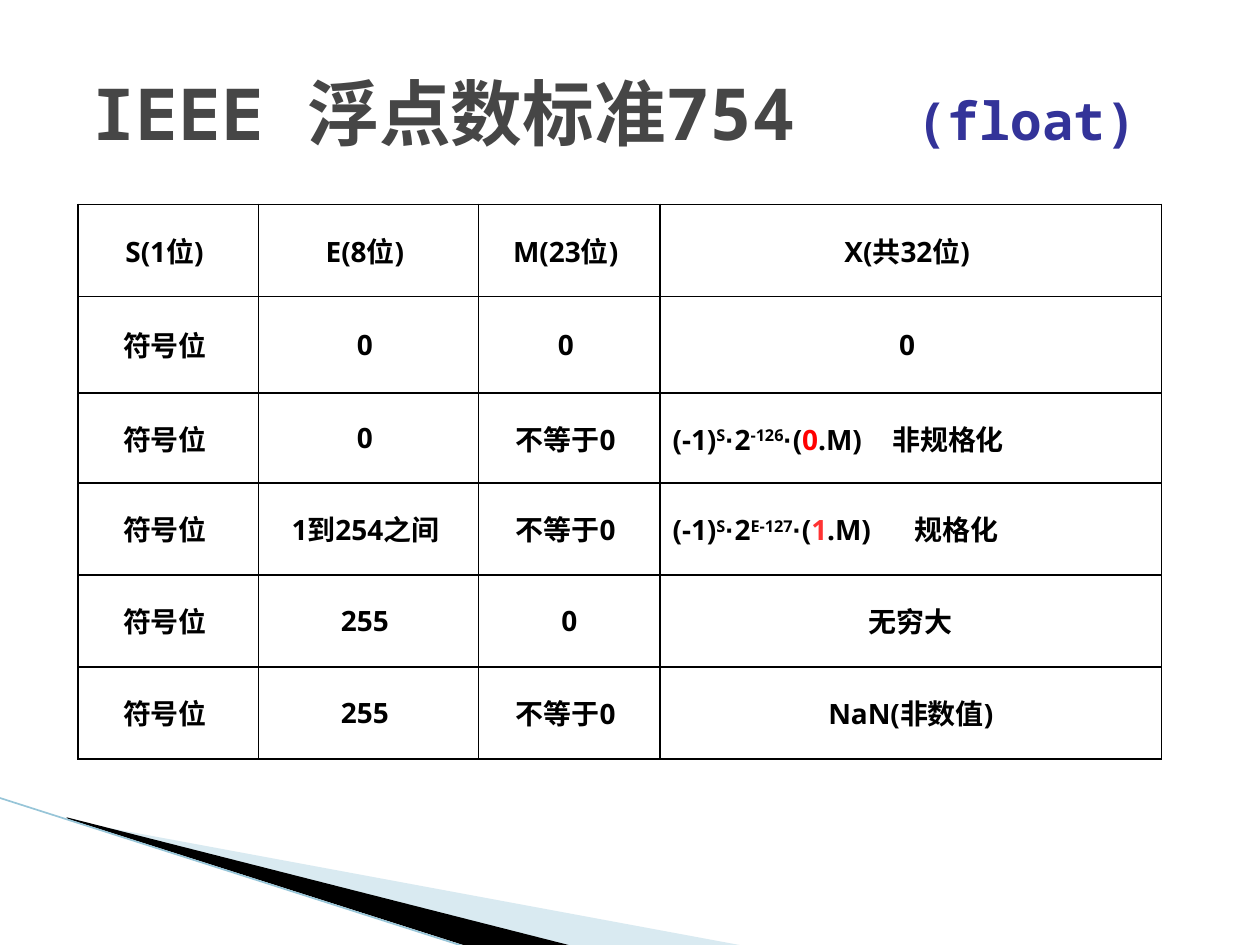
from dataclasses import dataclass

from lxml.etree import SubElement
from pptx import Presentation
from pptx.dml.color import RGBColor
from pptx.enum.shapes import MSO_CONNECTOR
from pptx.enum.text import MSO_ANCHOR, MSO_AUTO_SIZE, PP_ALIGN
from pptx.oxml.ns import qn
from pptx.util import Pt


@dataclass(frozen=True)
class Theme:
    ink: str = "000000"
    head: str = "464646"
    note: str = "333399"
    zero: str = "FF0000"
    one: str = "FF3333"
    pale: str = "A0CBDC"
    edge: str = "97C5D8"
    mono: str = "Noto Sans Mono"
    sans: str = "Open Sans"
    dot: str = "Arial"
    big: int = 41
    mid: int = 30
    small: int = 16


THEME = Theme()
COLS = (103, 126, 103.6, 286.6)
ROWS = (52.5, 55.4, 51.2, 52.6, 52.6, 52.6)
SIGN = "符号位 "
HALF = "不等于0 "


def add_run(para, text, font=THEME.sans, size=THEME.small, color=THEME.ink, sup=False):
    run = para.add_run()
    run.text = text
    run.font.name = font
    run.font.size = Pt(size)
    run.font.bold = True
    run.font.color.rgb = RGBColor.from_string(color)
    if sup:
        run.font._element.set("baseline", "30000")


def add_tab(para, pos):
    """Set a left tab stop, measured from the start of the text."""
    props = para._p.get_or_add_pPr()
    stops = SubElement(props, qn("a:tabLst"))
    SubElement(stops, qn("a:tab"), pos=str(Pt(pos)), algn="l")


def add_title(slide):
    title = slide.shapes.title
    title.left, title.top, title.width, title.height = map(Pt, (45.4, 23.8, 630, 80.6))
    frame = title.text_frame
    frame.auto_size = MSO_AUTO_SIZE.NONE
    frame.vertical_anchor = MSO_ANCHOR.MIDDLE
    para = frame.paragraphs[0]
    para.alignment = PP_ALIGN.LEFT
    add_tab(para, 471)
    add_run(para, "IEEE 浮点数标准754\t", THEME.mono, THEME.big, THEME.head)
    add_run(para, "(float)", THEME.mono, THEME.mid, THEME.note)


def add_wedge(slide, points, color, alpha=100):
    start, *rest = points
    form = slide.shapes.build_freeform(*start, scale=Pt(1))
    form.add_line_segments(rest)
    shape = form.convert_to_shape()
    shape.shadow.inherit = False
    shape.line.fill.background()
    shape.fill.solid()
    shape.fill.fore_color.rgb = RGBColor.from_string(color)
    if alpha < 100:
        tint = shape._element.spPr.find(qn("a:solidFill"))[0]
        SubElement(tint, qn("a:alpha"), val=str(alpha * 1000))


def add_edge(slide, start, end):
    line = slide.shapes.add_connector(MSO_CONNECTOR.STRAIGHT, *map(Pt, start + end))
    line.line.color.rgb = RGBColor.from_string(THEME.edge)
    line.line.width = Pt(0.95)
    SubElement(line._element.spPr, qn("a:effectLst"))


def add_frame(cell):
    """Draw the four borders of a cell and clear its fill."""
    props = cell._tc.get_or_add_tcPr()
    for side in ("lnL", "lnR", "lnT", "lnB"):
        line = SubElement(props, qn(f"a:{side}"), w=str(Pt(1)))
        fill = SubElement(line, qn("a:solidFill"))
        SubElement(fill, qn("a:srgbClr"), val=THEME.ink)
    cell.fill.background()


def add_value(para, power, lead, color, name, stop):
    """Write (-1)^S·2^power·(lead.M) and the name of that form."""
    add_tab(para, stop)
    add_run(para, "(-1)")
    add_run(para, "S", sup=True)
    add_run(para, "·", THEME.dot)
    add_run(para, "2")
    add_run(para, power, sup=True)
    add_run(para, "·", THEME.dot)
    add_run(para, "(")
    add_run(para, lead, color=color)
    add_run(para, f".M)\t{name}")


def add_grid(slide):
    forms = {
        "denormal": ("-126", "0", THEME.zero, "非规格化", 125.5),
        "normal": ("E-127", "1", THEME.one, "规格化", 138.5),
    }
    data = (
        ("S(1位) ", "E(8位) ", "M(23位) ", "X(共32位) "),
        (SIGN, "0 ", "0 ", "0 "),
        (SIGN, "0 ", HALF, "denormal"),
        (SIGN, "1到254之间 ", HALF, "normal"),
        (SIGN, "255 ", "0", "无穷大"),
        (SIGN, "255 ", HALF, "NaN(非数值)"),
    )
    box = map(Pt, (44.6, 116.8, sum(COLS), sum(ROWS)))
    table = slide.shapes.add_table(len(ROWS), len(COLS), *box).table
    table.first_row = table.horz_banding = False
    for col, width in zip(table.columns, COLS):
        col.width = Pt(width)
    for row, height, texts in zip(table.rows, ROWS, data):
        row.height = Pt(height)
        for cell, text in zip(row.cells, texts):
            add_frame(cell)
            cell.vertical_anchor = MSO_ANCHOR.MIDDLE
            para = cell.text_frame.paragraphs[0]
            if text in forms:
                add_value(para, *forms[text])
            else:
                para.alignment = PP_ALIGN.CENTER
                add_run(para, text)


def main():
    deck = Presentation()
    deck.slide_width, deck.slide_height = Pt(720), Pt(540)
    slide = deck.slides.add_slide(deck.slide_layouts[5])
    pale = ((39.6, 468.6), (428.4, 540.6), (328.3, 540.6), (39.6, 468))
    dark = ((38.2, 467.3), (329, 540.6), (267.8, 541.4), (38.9, 468))
    add_wedge(slide, pale, THEME.pale, 40)
    add_wedge(slide, dark, THEME.ink)
    add_edge(slide, (-0.7, 455.8), (267.1, 541.4))
    add_title(slide)
    add_grid(slide)
    deck.save("out.pptx")


if __name__ == "__main__":
    main()
